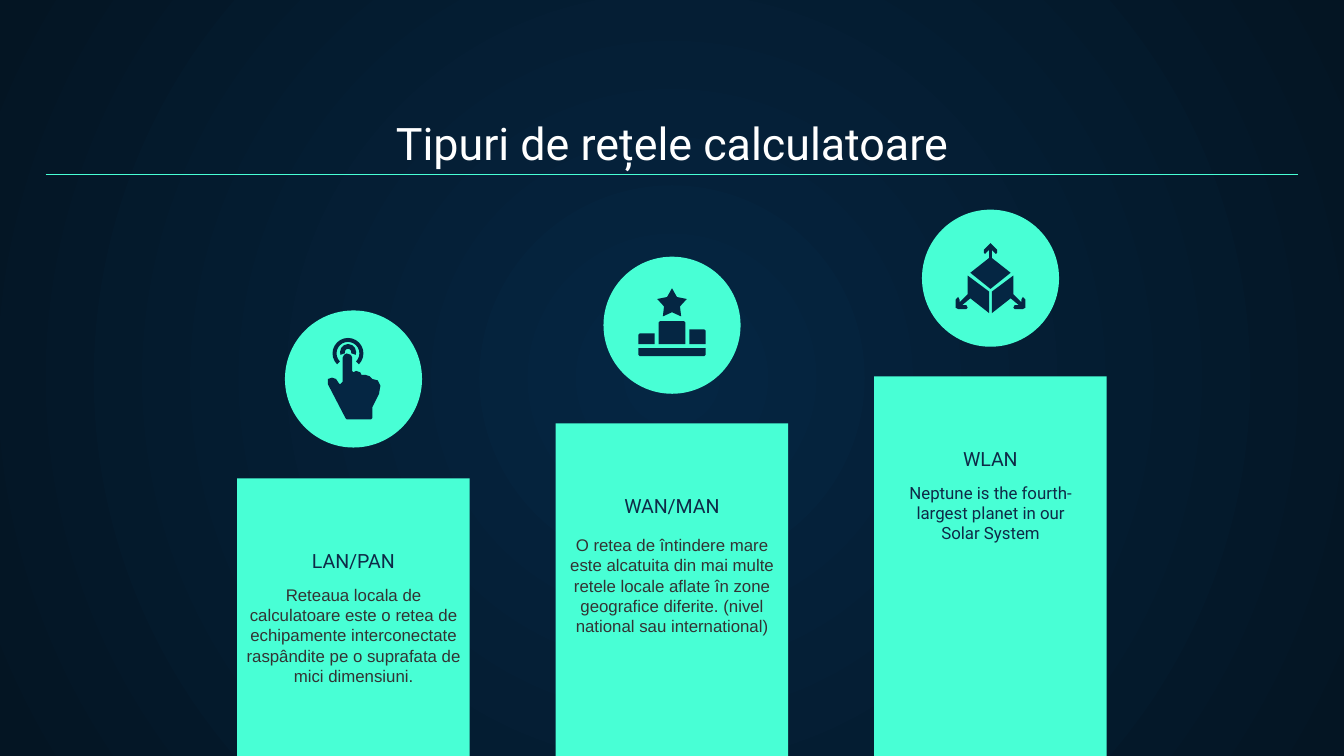
from lxml.etree import SubElement
from pptx import Presentation
from pptx.dml.color import RGBColor
from pptx.enum.shapes import MSO_CONNECTOR as Connector, MSO_SHAPE as Shape
from pptx.enum.text import MSO_ANCHOR as Anchor, MSO_AUTO_SIZE as AutoSize, PP_ALIGN as Align
from pptx.oxml import parse_xml
from pptx.oxml.ns import nsdecls, qn
from pptx.util import Inches, Pt

# Content
COLORS = {"mint": "48FFD5", "navy": "052643", "edge": "041523",
          "heading": "0E2A47", "body": "333333", "white": "FFFFFF"}
TITLE = "Tipuri de rețele calculatoare"
COLUMNS = [
    {"heading": "LAN/PAN", "top": 3.56, "circle_top": 2.31, "icon": "touch",
     "body": "Reteaua locala de calculatoare este o retea de echipamente "
             "interconectate raspândite pe o suprafata de mici dimensiuni.",
     "body_top": 4.25, "body_width": 1.82, "font": "Arial", "color": "body"},
    {"heading": "WAN/MAN", "top": 3.15, "circle_top": 1.91, "icon": "podium",
     "body": "O retea de întindere mare este alcatuita din mai multe retele locale "
             "aflate în zone geografice diferite. (nivel national sau international)",
     "body_top": 3.88, "body_width": 1.88, "font": "Arial", "color": "body"},
    {"heading": "WLAN", "top": 2.8, "circle_top": 1.56, "icon": "cube",
     "body": "Neptune is the fourth-largest planet in our Solar System",
     "body_top": 3.49, "body_width": 1.52, "font": "Roboto", "color": "heading"},
]


def mirror(points):
    return [(-x, y) for x, y in points]


# Icon outlines, in hundredths of an inch from the centre of the circle
HAND = [(-8, -16), (-7, -18), (-5, -19), (-2, -18), (-1, -16), (-1, -6), (0, -5),
        (2, -6), (5, -5), (6, -3), (9, -3), (12, -2), (14, 0), (18, 1), (20, 5),
        (19, 11), (14, 21), (14, 29), (13, 30), (-5, 30), (-6, 29), (-19, 4),
        (-19, 0), (-16, -1), (-13, 0), (-11, 3), (-10, 4), (-8, 2)]
STEPS = [
    [(-10, 14), (-10, -2), (-9, -3), (9, -3), (10, -2), (10, 14)],
    [(-25, 14), (-25, 7), (-24, 6), (-13, 6), (-13, 14)],
    [(13, 14), (13, 3), (24, 3), (25, 4), (25, 14)],
    [(-25, 17), (25, 17), (25, 22), (24, 23), (-24, 23), (-25, 22)],
]
CUBE_SIDE = [(17, -2), (1, 10), (1, 26), (15, 15), (21, 20), (18, 20), (17, 22),
             (18, 23), (24, 23), (26, 22), (26, 16), (24, 14), (23, 16), (23, 18),
             (17, 12)]
CUBE_TOP = [(0, -26), (1, -25), (5, -21), (5, -19), (4, -18), (3, -19), (1, -21),
            (1, -15), (15, -4), (0, 8)]
# Presets: kind, offset of the centre, width, height, adjustments
ICONS = {
    "touch": {"outlines": [HAND],
              "presets": [(Shape.BLOCK_ARC, -0.04, -0.19, 0.23, 0.23, (81, 27, 0.13)),
                          (Shape.BLOCK_ARC, -0.04, -0.2, 0.12, 0.12, (96, 12, 0.3))]},
    "podium": {"outlines": STEPS,
               "presets": [(Shape.STAR_5_POINT, 0, -0.17, 0.22, 0.21, (0.27,))]},
    "cube": {"outlines": [CUBE_SIDE, mirror(CUBE_SIDE),
                          CUBE_TOP + mirror(CUBE_TOP)[-2:0:-1]],
             "presets": []},
}

# Layout in inches, on a 16:9 slide
WIDTH = 10
HEIGHT = WIDTH * 9 / 16
MARGIN = 0.34
COLUMN_PITCH, BAR_WIDTH, CIRCLE = 2.37, 1.73, 1.02
HEADING_DROP, HEADING_WIDTH = 0.59, 2.27

presentation = Presentation()
presentation.slide_width, presentation.slide_height = Inches(WIDTH), Inches(HEIGHT)
slide = presentation.slides.add_slide(presentation.slide_layouts[5])


def color(name):
    return RGBColor.from_string(COLORS[name])


def paint(shape, fill):
    shape.shadow.inherit = False
    shape.fill.solid()
    shape.fill.fore_color.rgb = color(fill)
    shape.line.fill.background()


def add_preset(kind, center_x, top, width, height, fill):
    shape = slide.shapes.add_shape(kind, Inches(center_x - width / 2), Inches(top),
                                   Inches(width), Inches(height))
    paint(shape, fill)
    return shape


def write(shape, text, size, font, ink, anchor):
    frame = shape.text_frame
    settings = {"word_wrap": True, "auto_size": AutoSize.NONE, "vertical_anchor": anchor}
    for side in ("left", "right", "top", "bottom"):
        settings["margin_" + side] = Inches(0.1)
    for name, value in settings.items():
        setattr(frame, name, value)
    paragraph = frame.paragraphs[0]
    paragraph.alignment = Align.CENTER
    run = paragraph.add_run()
    run.text = text
    for name, value in {"size": Pt(size), "name": font}.items():
        setattr(run.font, name, value)
    run.font.color.rgb = color(ink)


def add_label(center_x, top, width, height, *text_format):
    box = slide.shapes.add_textbox(Inches(center_x - width / 2), Inches(top),
                                   Inches(width), Inches(height))
    write(box, *text_format)


def add_icon(icon, center_x, center_y):
    for points in icon["outlines"]:
        builder = slide.shapes.build_freeform(*points[0], scale=Inches(0.01))
        builder.add_line_segments(points[1:], close=True)
        paint(builder.convert_to_shape(Inches(center_x), Inches(center_y)), "navy")
    for kind, x, y, width, height, adjustments in icon["presets"]:
        shape = add_preset(kind, center_x + x, center_y + y - height / 2,
                           width, height, "navy")
        for index, value in enumerate(adjustments):
            shape.adjustments[index] = value


# Radial background
slide.background.fill.solid()
properties = slide.background._cSld.find(qn("p:bg")).find(qn("p:bgPr"))
properties.replace(properties[0], parse_xml(
    f'<a:gradFill {nsdecls("a")} rotWithShape="1"><a:gsLst>'
    f'<a:gs pos="0"><a:srgbClr val="{COLORS["navy"]}"/></a:gs>'
    f'<a:gs pos="100000"><a:srgbClr val="{COLORS["edge"]}"/></a:gs></a:gsLst>'
    '<a:path path="circle"><a:fillToRect l="50000" t="50000" r="50000" b="50000"/>'
    '</a:path></a:gradFill>'))

# Title
title = slide.shapes.title
for name, value in {"left": MARGIN, "top": 0.7, "width": WIDTH - 2 * MARGIN,
                    "height": 0.66}.items():
    setattr(title, name, Inches(value))
write(title, TITLE, 24, "Roboto", "white", Anchor.BOTTOM)

# Columns: bar, circle, icon, heading and description
for index, column in enumerate(COLUMNS):
    center, top = WIDTH / 2 + (index - 1) * COLUMN_PITCH, column["top"]
    add_preset(Shape.RECTANGLE, center, top, BAR_WIDTH, HEIGHT - top, "mint")
    add_preset(Shape.OVAL, center, column["circle_top"], CIRCLE, CIRCLE, "mint")
    add_icon(ICONS[column["icon"]], center, column["circle_top"] + CIRCLE / 2)
    add_label(center, top + HEADING_DROP, HEADING_WIDTH, 0.21,
              column["heading"], 10.5, "Roboto", "heading", Anchor.BOTTOM)
    add_label(center, column["body_top"], column["body_width"], 0.55,
              column["body"], 9, column["font"], column["color"], Anchor.TOP)

# Rule under the title
rule = slide.shapes.add_connector(Connector.STRAIGHT, Inches(MARGIN), Inches(1.3),
                                  Inches(WIDTH - MARGIN), Inches(1.3))
rule.line.color.rgb = color("mint")
rule.line.width = Pt(0.75)
SubElement(rule._element.spPr, qn("a:effectLst"))

presentation.save("out.pptx")
